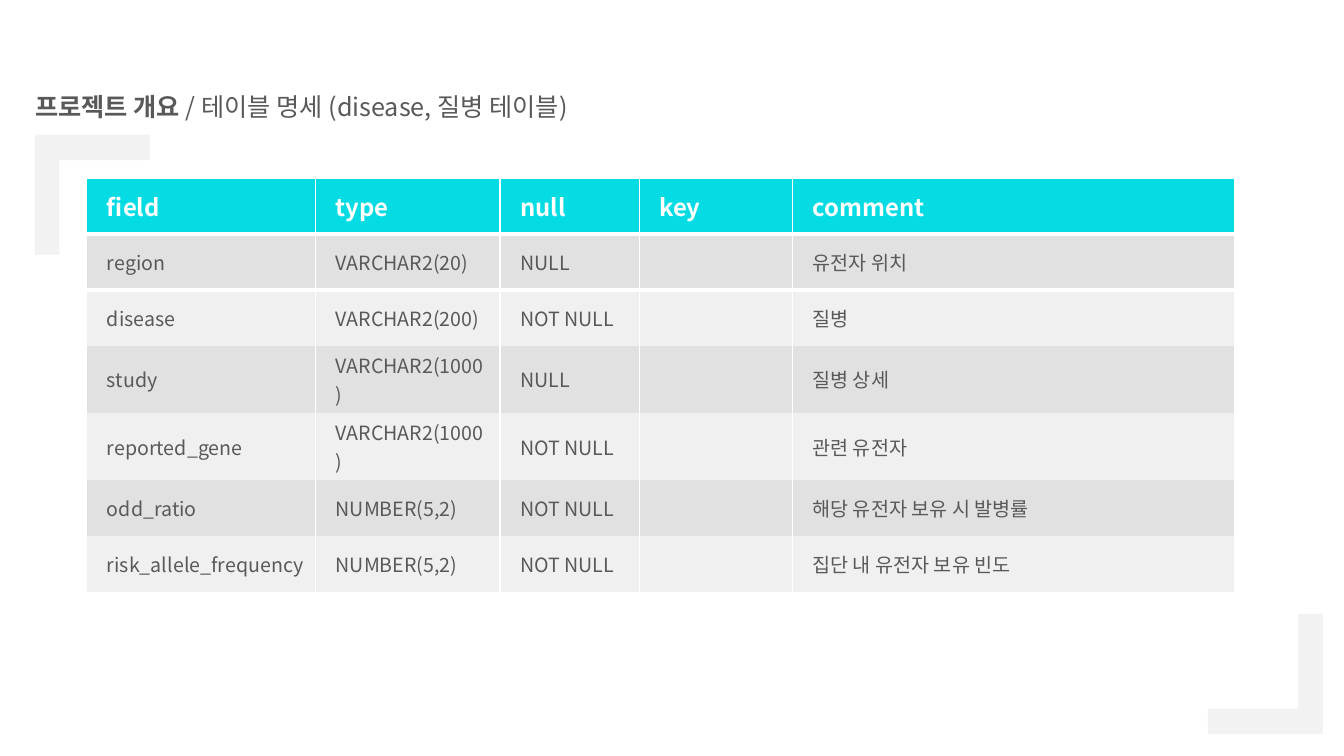
from pptx import Presentation
from pptx.dml.color import RGBColor
from pptx.enum.shapes import MSO_SHAPE
from pptx.enum.text import MSO_ANCHOR, MSO_AUTO_SIZE, PP_ALIGN
from pptx.oxml.ns import qn
from pptx.util import Pt
from lxml.etree import SubElement

# Content
TITLE = [("프로젝트 개요 ", True), ("/ 테이블 명세 (disease, 질병 테이블)", False)]
HEADER = ("field", "type", "null", "key", "comment")
FIELDS = [
    ("region", "VARCHAR2(20)", "NULL", "", "유전자 위치"),
    ("disease", "VARCHAR2(200)", "NOT NULL", "", "질병"),
    ("study", "VARCHAR2(1000)", "NULL", "", "질병 상세"),
    ("reported_gene", "VARCHAR2(1000)", "NOT NULL", "", "관련 유전자"),
    ("odd_ratio", "NUMBER(5,2)", "NOT NULL", "", "해당 유전자 보유 시 발병률"),
    ("risk_allele_frequency", "NUMBER(5,2)", "NOT NULL", "", "집단 내 유전자 보유 빈도"),
]
FONT = "Noto Sans CJK KR"
GREY, WHITE, CYAN, CORNER = "595959", "FFFFFF", "05DBE3", "F2F2F2"
BANDS = ("E1E1E1", "F0F0F0")
NO_STYLE = "{2D5ABB26-0587-4C30-8999-92F81FD0307C}"

# Layout, in points
COL_WIDTHS = (163.4, 131.8, 99.4, 109.4, 316)
ROW_HEIGHT = 39.8
TABLE_LEFT, TABLE_TOP = 62, 127.5
CORNERS = [(23, 98, 90), (861, 440.5, 270)]  # left, top, rotation
CORNER_SIZE = (85.7, 82)


def rgb(value):
    return RGBColor.from_string(value)


def format_run(r, size, color, bold):
    r.font.size, r.font.bold, r.font.name = Pt(size), bold, FONT
    r.font.color.rgb = rgb(color)
    SubElement(r._r.get_or_add_rPr(), qn("a:ea"), typeface=FONT)


def add_borders(cell, widths):
    tcPr = cell._tc.get_or_add_tcPr()
    for i, (side, width) in enumerate(widths):
        ln = SubElement(tcPr, qn(f"a:{side}"), w=str(Pt(width)))
        fill = SubElement(ln, qn("a:solidFill"))
        SubElement(fill, qn("a:srgbClr"), val=WHITE)
        tcPr.insert(i, ln)  # borders come before the cell fill


prs = Presentation()
prs.slide_width, prs.slide_height = Pt(960), Pt(540)
slide = prs.slides.add_slide(prs.slide_layouts[5])

# Title
title = slide.shapes.title
title.left, title.top, title.width, title.height = Pt(25.2), Pt(67.7), Pt(847.4), Pt(19.4)
tf = title.text_frame
tf.margin_left = tf.margin_right = tf.margin_top = tf.margin_bottom = 0
tf.word_wrap, tf.auto_size = True, MSO_AUTO_SIZE.NONE
tf.vertical_anchor = MSO_ANCHOR.TOP
p = tf.paragraphs[0]
p.alignment, p.line_spacing = PP_ALIGN.LEFT, 0.9
for text, bold in TITLE:
    r = p.add_run()
    r.text = text
    format_run(r, 18, GREY, bold)

# Corner brackets
for left, top, rotation in CORNERS:
    sp = slide.shapes.add_shape(MSO_SHAPE.CORNER, Pt(left), Pt(top), *map(Pt, CORNER_SIZE))
    sp.adjustments[0], sp.adjustments[1] = 0.215, 0.222
    sp.rotation = rotation
    sp.shadow.inherit = False
    sp.fill.solid()
    sp.fill.fore_color.rgb = rgb(CORNER)
    sp.line.fill.background()

# Field table
rows = [HEADER] + FIELDS
table = slide.shapes.add_table(
    len(rows), len(HEADER), Pt(TABLE_LEFT), Pt(TABLE_TOP),
    Pt(sum(COL_WIDTHS)), Pt(ROW_HEIGHT * len(rows))).table
table.horz_banding = False
table._tbl.tblPr.find(qn("a:tableStyleId")).text = NO_STYLE
for column, width in zip(table.columns, COL_WIDTHS):
    column.width = Pt(width)

for i, values in enumerate(rows):
    table.rows[i].height = Pt(ROW_HEIGHT)
    is_header = i == 0
    borders = [("lnL", 1), ("lnR", 1)]
    if is_header:
        borders += [("lnT", 1), ("lnB", 3)]
    elif i == 1:
        borders += [("lnT", 3)]
    for j, value in enumerate(values):
        cell = table.cell(i, j)
        cell.fill.solid()
        cell.fill.fore_color.rgb = rgb(CYAN if is_header else BANDS[(i - 1) % 2])
        add_borders(cell, borders)
        cell.vertical_anchor = MSO_ANCHOR.MIDDLE
        cell.margin_left, cell.margin_right = Pt(14.4), Pt(7.2)
        cell.margin_top = cell.margin_bottom = Pt(3.6)
        if value:
            cell.text_frame.text = value
            r = cell.text_frame.paragraphs[0].runs[0]
            format_run(r, 17 if is_header else 14, WHITE if is_header else GREY, is_header)

prs.save("out.pptx")
